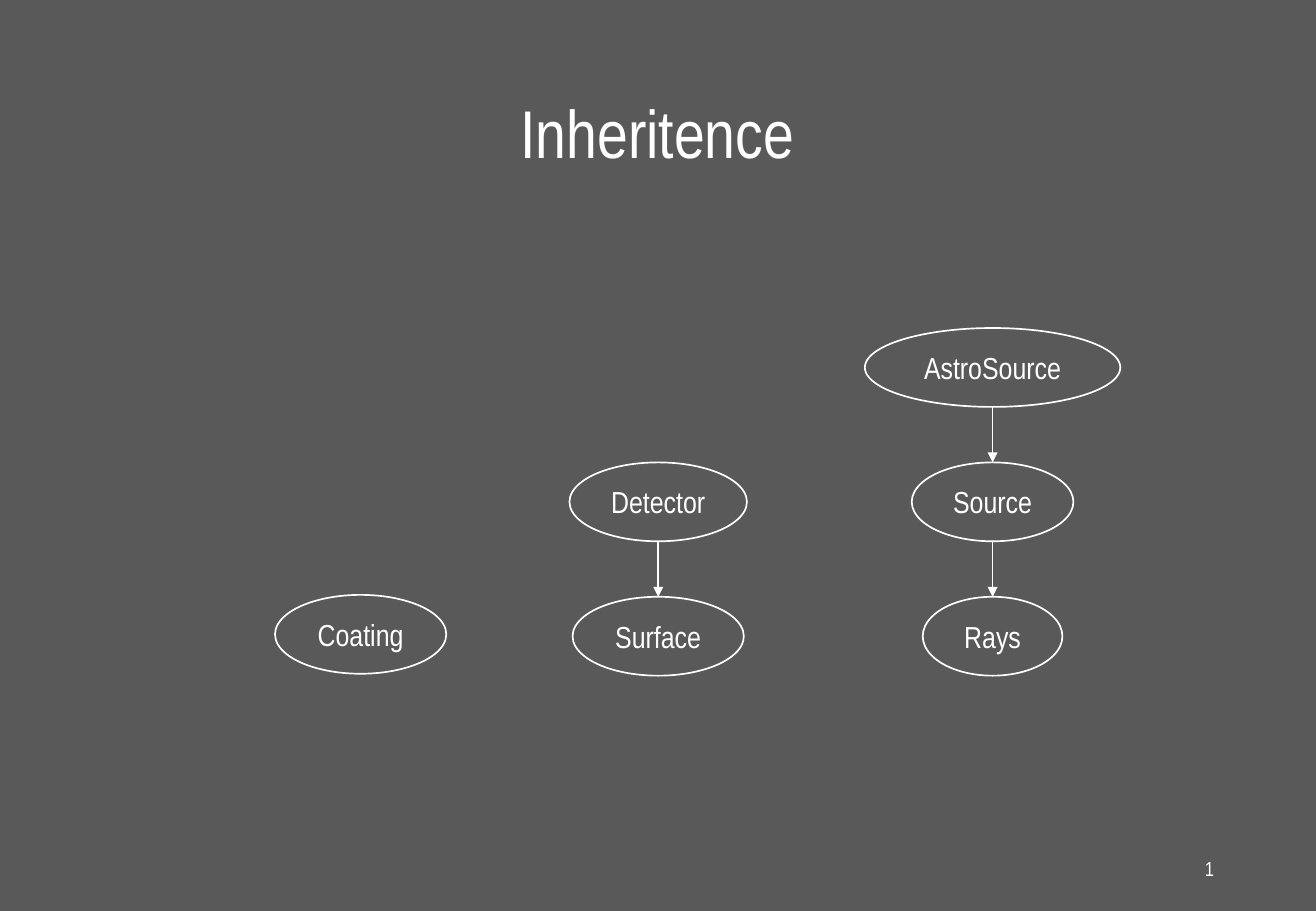
from pptx import Presentation
from pptx.dml.color import RGBColor
from pptx.enum.shapes import MSO_CONNECTOR, MSO_SHAPE
from pptx.enum.text import MSO_ANCHOR, PP_ALIGN
from pptx.oxml.ns import qn
from pptx.util import Cm, Pt
from lxml import etree

WHITE = RGBColor(0xFF, 0xFF, 0xFF)
GREY = RGBColor(0x59, 0x59, 0x59)
OVAL = MSO_SHAPE.OVAL
STRAIGHT = MSO_CONNECTOR.STRAIGHT
MIDDLE = MSO_ANCHOR.MIDDLE
CENTER, RIGHT = PP_ALIGN.CENTER, PP_ALIGN.RIGHT


class Board:
    font = "Arial Narrow"
    ink = WHITE
    line = Pt(1)

    def __init__(self, slide):
        self.slide = slide
        fill = slide.background.fill
        fill.solid()
        fill.fore_color.rgb = GREY

    def letter(self, shape, text, size, align, wrap):
        frame = shape.text_frame
        frame.word_wrap = wrap
        frame.vertical_anchor = MIDDLE
        para = frame.paragraphs[0]
        para.alignment = align
        run = para.add_run()
        run.text = text
        run.font.name = self.font
        run.font.size = Pt(size)
        run.font.color.rgb = self.ink
        return para

    def stroke(self, shape):
        shape.line.color.rgb = self.ink
        shape.line.width = self.line

    def label(self, text, left, top, width, height, size, align):
        box = self.slide.shapes.add_textbox(
            Cm(left), Cm(top), Cm(width), Cm(height))
        return self.letter(box, text, size, align, True)

    def oval(self, text, mid, top, width, height):
        oval = self.slide.shapes.add_shape(
            OVAL, Cm(mid - width / 2), Cm(top), Cm(width), Cm(height))
        oval.shadow.inherit = False
        oval.fill.background()
        self.stroke(oval)
        self.letter(oval, text, 18, CENTER, False)

    def arrow(self, mid, top, end):
        arrow = self.slide.shapes.add_connector(
            STRAIGHT, Cm(mid), Cm(top), Cm(mid), Cm(end))
        self.stroke(arrow)
        props = arrow.element.spPr
        head = etree.SubElement(props.find(qn("a:ln")), qn("a:tailEnd"))
        head.set("type", "triangle")
        etree.SubElement(props, qn("a:effectLst"))


deck = Presentation()
deck.slide_width, deck.slide_height = Cm(27.51), Cm(19.05)
board = Board(deck.slides.add_slide(deck.slide_layouts[6]))

# Title and slide number
title = board.label("Inheritence", 1.88, 1.02, 23.72, 3.68, 40, CENTER)
title.line_spacing = 0.9
board.label("1", 19.43, 17.65, 6.2, 1.02, 12, RIGHT)

# Class chains: centre, top of the lowest oval, then names and widths upwards
HEIGHT, STEP = 1.65, 2.81
CHAINS = [
    (7.54, 12.44, [("Coating", 3.58)]),
    (13.76, 12.48, [("Surface", 3.58), ("Detector", 3.71)]),
    (20.75, 12.48, [("Rays", 2.92), ("Source", 3.38), ("AstroSource", 5.34)]),
]
for mid, base, chain in CHAINS:
    for level, (name, width) in enumerate(chain):
        top = base - level * STEP
        board.oval(name, mid, top, width, HEIGHT)
        if level:
            board.arrow(mid, top + HEIGHT, top + STEP)

deck.save("out.pptx")
